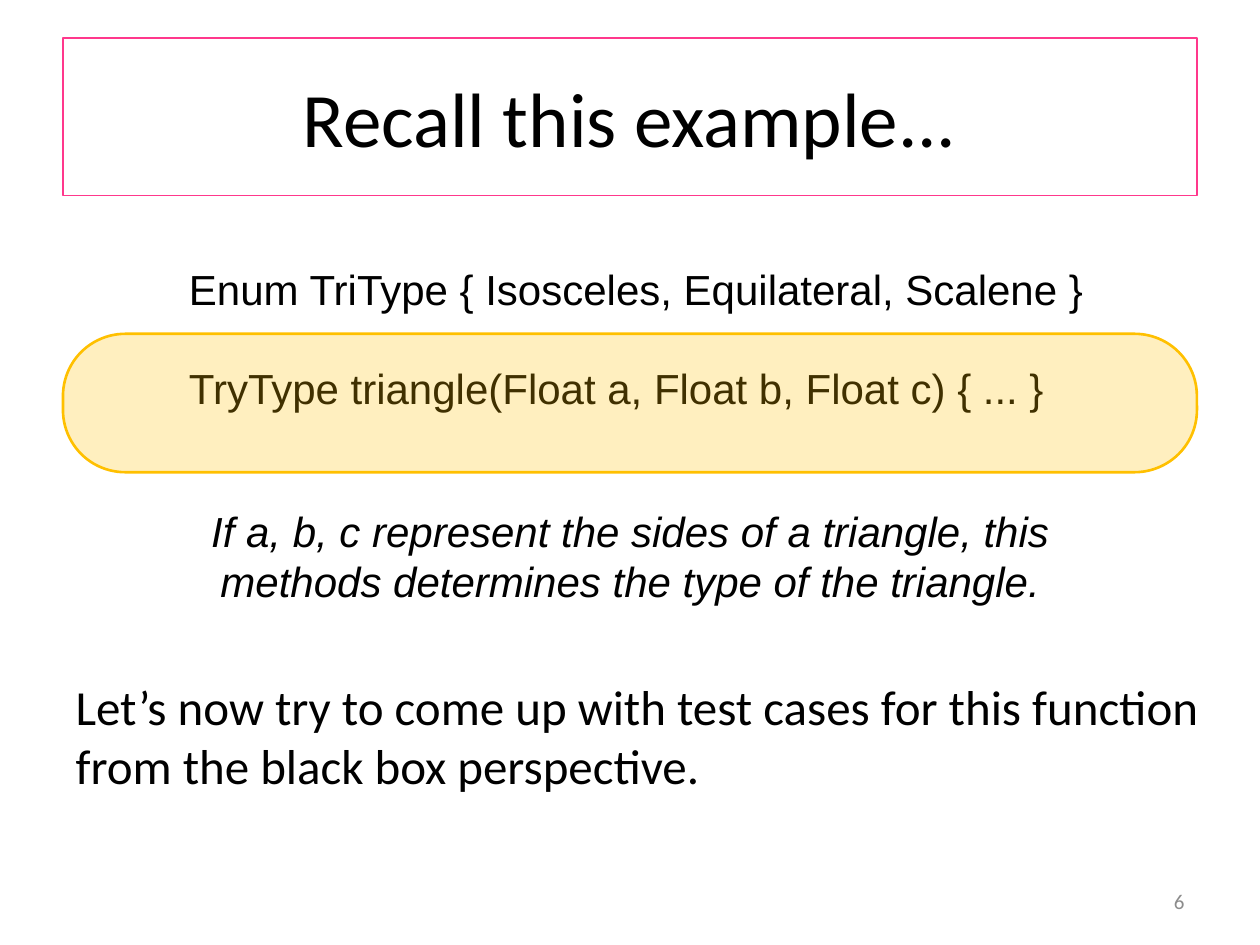
import pptx
import pptx.dml.color
import pptx.enum.shapes
import pptx.enum.text
import pptx.oxml
import pptx.oxml.ns
import pptx.util
import lxml.etree

Cm = pptx.util.Cm
Pt = pptx.util.Pt
RGBColor = pptx.dml.color.RGBColor
ALIGN = pptx.enum.text.PP_ALIGN
ANCHOR = pptx.enum.text.MSO_ANCHOR

BLACK = RGBColor(0x00, 0x00, 0x00)
GRAY = RGBColor(0x8C, 0x8C, 0x8C)
PINK = RGBColor(0xFF, 0x38, 0x8C)
AMBER = RGBColor(0xFF, 0xC0, 0x00)

TITLE = "Recall this example..."
TASK = ("Let’s now try to come up with test cases for this function "
        "from the black box perspective.")
CODE = ["Enum TriType { Isosceles, Equilateral, Scalene }",
        "TryType triangle(Float a, Float b, Float c) { ... }"]
MEANING = ("If a, b, c represent the sides of a triangle, this methods "
           "determines the type of the triangle.")
PAGE_NUMBER = "6"

MARGIN = 1.27
CONTENT_WIDTH = 22.86
CODE_LEFT = 3.56


def place(box, left, top, width, height):
    box.left, box.top = Cm(left), Cm(top)
    box.width, box.height = Cm(width), Cm(height)


def write(box, lines, font, size, color=BLACK, align=ALIGN.LEFT,
          anchor=ANCHOR.TOP, wrap=True, italic=False, gap=0):
    frame = box.text_frame
    frame.text = "\n".join(lines)
    frame.word_wrap = wrap
    frame.auto_size = pptx.enum.text.MSO_AUTO_SIZE.NONE
    frame.vertical_anchor = anchor
    for index, para in enumerate(frame.paragraphs):
        para.alignment = align
        para.space_before = Pt(gap if index else 0)
        for span in para.runs:
            span.font.name = font
            span.font.size = Pt(size)
            span.font.color.rgb = color
            span.font.italic = italic


def remove_bullet(para):
    properties = para._p.get_or_add_pPr()
    properties.set("marL", "0")
    properties.set("indent", "0")
    lxml.etree.SubElement(properties, pptx.oxml.ns.qn("a:buNone"))


def add_text(page, area, lines, font, size, **style):
    box = page.shapes.add_textbox(*map(Cm, area))
    write(box, lines, font, size, **style)


def add_highlight(page):
    box = page.shapes.add_shape(
        pptx.enum.shapes.MSO_SHAPE.ROUNDED_RECTANGLE,
        Cm(MARGIN), Cm(6.73), Cm(CONTENT_WIDTH), Cm(2.79))
    box.adjustments[0] = 0.45
    box.shadow.inherit = False
    box.fill.solid()
    box.fill.fore_color.rgb = AMBER
    color = box._element.spPr.find(".//" + pptx.oxml.ns.qn("a:srgbClr"))
    lxml.etree.SubElement(color, pptx.oxml.ns.qn("a:alpha"), val="25000")
    box.line.color.rgb = AMBER
    box.line.width = Pt(1.5)


def main():
    deck = pptx.Presentation()
    deck.slide_width, deck.slide_height = Cm(25.4), Cm(19.05)
    page = deck.slides.add_slide(deck.slide_layouts[1])

    title = page.shapes.title
    place(title, MARGIN, 0.76, CONTENT_WIDTH, 3.18)
    write(title, [TITLE], "Calibri", 44, align=ALIGN.CENTER, anchor=ANCHOR.MIDDLE)
    title.line.color.rgb = PINK
    title.line.width = Pt(1)

    body = page.placeholders[1]
    place(body, MARGIN, 13.51, 23.24, 3.48)
    body.text_frame.text = TASK
    write(body, [TASK], "Calibri", 28)
    remove_bullet(body.text_frame.paragraphs[0])

    add_text(page, (18.21, 17.65, 5.92, 1.02), [PAGE_NUMBER], "Calibri", 12,
             color=GRAY, align=ALIGN.RIGHT, anchor=ANCHOR.MIDDLE)
    add_text(page, (CODE_LEFT, 5.18, 19.15, 3.33), CODE, "Arial", 24,
             wrap=False, gap=28)
    add_text(page, (CODE_LEFT, 10.06, 18.29, 2.31), [MEANING], "Arial", 24,
             align=ALIGN.CENTER, italic=True)
    add_highlight(page)
    deck.save("out.pptx")


if __name__ == "__main__":
    main()
